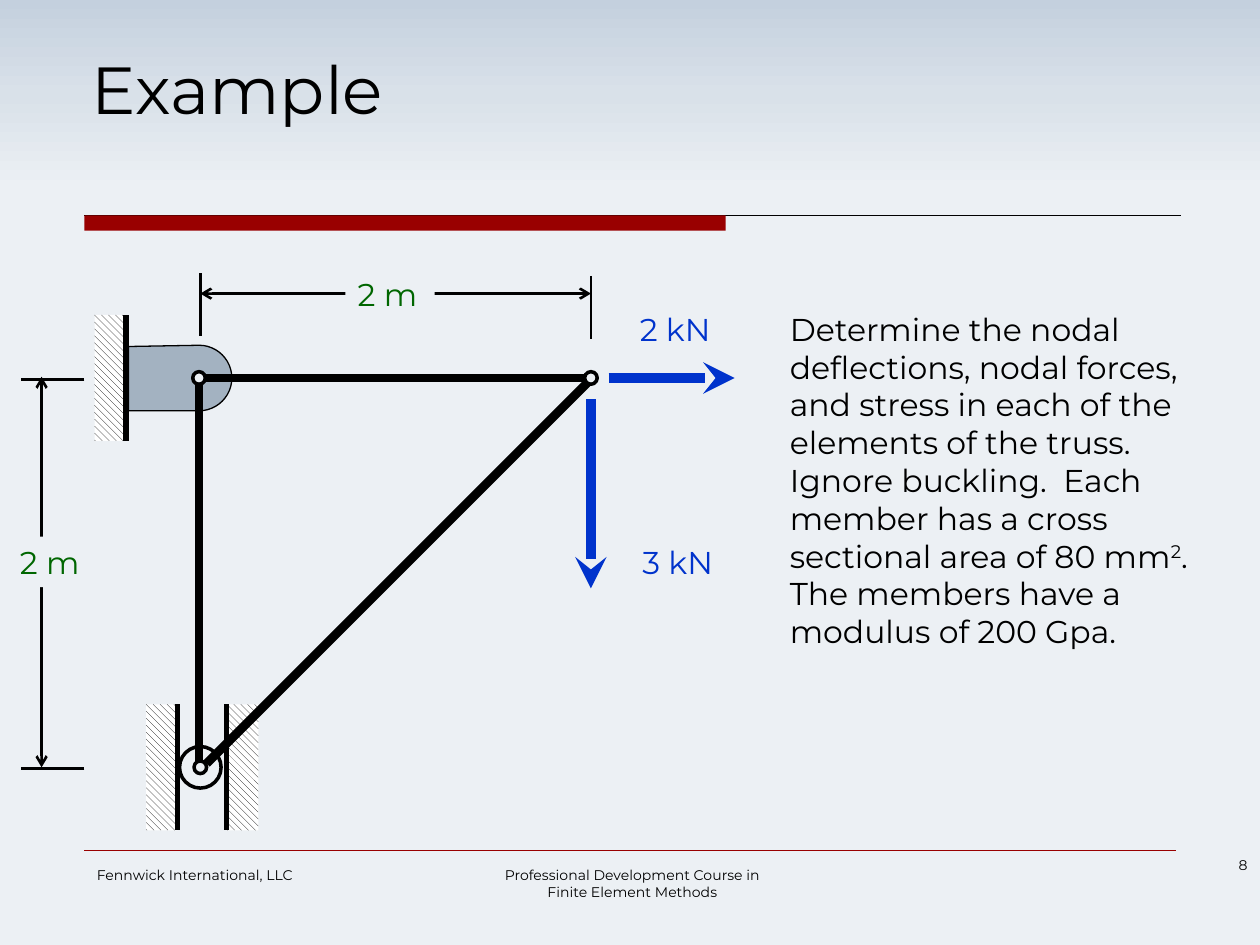
from copy import deepcopy
from math import cos, pi, sin

from lxml.etree import SubElement
from pptx import Presentation
from pptx.dml.color import RGBColor
from pptx.enum.dml import MSO_PATTERN as PATTERN
from pptx.enum.shapes import MSO_CONNECTOR as CONNECTOR, MSO_SHAPE as SHAPE
from pptx.enum.text import MSO_ANCHOR as ANCHOR, PP_ALIGN as ALIGN
from pptx.oxml.ns import qn
from pptx.util import Inches, Pt

COLORS = {
    "black": "000000",
    "white": "FFFFFF",
    "red": "990000",
    "force": "0033CC",
    "dimension": "006600",
    "lug": "A3B2C1",
    "sky_top": "C4D0DE",
    "sky_middle": "D9E1E9",
    "paper": "ECF0F4",
}
FONT = "Montserrat"


def color(name):
    return RGBColor.from_string(COLORS[name])


def write_text(paragraph, text, size=18, ink="black", align=ALIGN.LEFT, superscript=False):
    paragraph.alignment = align
    run = paragraph.add_run()
    run.text = text
    run.font.name = FONT
    run.font.size = Pt(size)
    run.font.color.rgb = color(ink)
    if superscript:
        run.font._element.set("baseline", "30000")


class TrussSlide:
    def __init__(self, presentation):
        self.slide = presentation.slides.add_slide(presentation.slide_layouts[6])
        self.shapes = self.slide.shapes

    def background(self, stops):
        fill = self.slide.background.fill
        fill.gradient()
        fill.gradient_angle = 270
        stop_list = next(self.slide.element.iter(qn("a:gsLst")))
        while len(stop_list) < len(stops):
            stop_list.append(deepcopy(stop_list[0]))
        for stop, (position, name) in zip(fill.gradient_stops, stops):
            stop.position = position
            stop.color.rgb = color(name)

    def paint(self, shape, fill, line=None, weight=1):
        shape.shadow.inherit = False
        shape.fill.solid()
        shape.fill.fore_color.rgb = color(fill)
        if line:
            shape.line.color.rgb = color(line)
            shape.line.width = Pt(weight)
        else:
            shape.line.fill.background()
        return shape

    def box(self, left, top, width, height, fill, kind=SHAPE.RECTANGLE, **style):
        shape = self.shapes.add_shape(kind, Inches(left), Inches(top), Inches(width), Inches(height))
        return self.paint(shape, fill, **style)

    def circle(self, x, y, diameter):
        radius = diameter / 2
        self.box(x - radius, y - radius, diameter, diameter, "paper",
                 kind=SHAPE.OVAL, line="black", weight=2)

    def outline(self, points, fill, **style):
        (x, y), *others = points
        builder = self.shapes.build_freeform(Inches(x), Inches(y))
        builder.add_line_segments([(Inches(x), Inches(y)) for x, y in others], close=True)
        self.paint(builder.convert_to_shape(), fill, **style)

    def line(self, x1, y1, x2, y2, ink="black", weight=1.5, head=None, tail=None):
        connector = self.shapes.add_connector(
            CONNECTOR.STRAIGHT, Inches(x1), Inches(y1), Inches(x2), Inches(y2))
        connector.line.color.rgb = color(ink)
        connector.line.width = Pt(weight)
        properties = connector.element.spPr
        for tag, arrow in (("a:headEnd", head), ("a:tailEnd", tail)):
            if arrow:
                SubElement(properties.find(qn("a:ln")), qn(tag), type=arrow)
        SubElement(properties, qn("a:effectLst"))

    def wall(self, left, top, edge):
        hatch = self.box(left, top, 0.25, 1, "white")
        hatch.fill.patterned()
        hatch.fill.pattern = PATTERN.WIDE_DOWNWARD_DIAGONAL
        hatch.fill.fore_color.rgb = color("black")
        hatch.fill.back_color.rgb = color("white")
        self.line(edge, top, edge, top + 1, weight=3)

    def text(self, left, top, width, height, *lines, wrap=True, **style):
        shape = self.shapes.add_textbox(Inches(left), Inches(top), Inches(width), Inches(height))
        frame = shape.text_frame
        frame.word_wrap = wrap
        for index, line in enumerate(lines):
            paragraph = frame.add_paragraph() if index else frame.paragraphs[0]
            write_text(paragraph, line, **style)
        return frame.paragraphs[0]

    def dimension_label(self, left, top, text):
        frame = self.box(left, top, 0.71, 0.4, "paper").text_frame
        frame.word_wrap = False
        frame.vertical_anchor = ANCHOR.TOP
        write_text(frame.paragraphs[0], text, ink="dimension")


def draw_frame(page):
    page.background([(0, "sky_top"), (0.1, "sky_middle"), (0.2, "paper")])
    page.line(0.67, 1.71, 9.37, 1.71, weight=0.75)
    page.box(0.67, 1.71, 5.09, 0.12, "red")
    page.line(0.67, 6.75, 9.33, 6.75, ink="red", weight=0.25)
    page.text(0.63, 0.33, 8.75, 1.33, "Example", size=38)
    page.text(0.67, 6.83, 2.08, 0.5, "Fennwick International, LLC", size=8)
    page.text(3.81, 6.83, 2.42, 0.37, "Professional Development Course in",
              "Finite Element Methods", size=8, align=ALIGN.CENTER)
    page.text(7.67, 6.75, 2.33, 0.4, "8", size=8, align=ALIGN.RIGHT)


def draw_truss(page):
    page.wall(0.75, 2.5, 1)
    page.wall(1.16, 5.59, 1.41)
    page.wall(1.8, 5.59, 1.8)
    page.circle(1.59, 6.09, 0.33)

    radius, steps = 0.26, 24
    angles = [pi * step / steps - pi / 2 for step in range(steps + 1)]
    arc = [(1.58 + radius * cos(angle), 3 + radius * sin(angle)) for angle in angles]
    page.outline([(1.02, 3.26), (1.02, 2.75), *arc], "lug", line="black", weight=0.75)

    for member in ((1.63, 3, 4.64, 3), (1.58, 6.05, 1.58, 3.05), (1.64, 6.06, 4.68, 3.02)):
        page.line(*member, weight=5)
    for x, y in ((1.58, 3), (1.59, 6.09), (4.69, 3)):
        page.circle(x, y, 0.1)


def draw_forces(page):
    for arrow in ((4.83, 3, 5.83, 3), (4.69, 3.17, 4.69, 4.67)):
        page.line(*arrow, ink="force", weight=6, tail="stealth")
    for left, top, force in ((4.98, 2.41, "2 kN"), (5, 4.26, "3 kN")):
        page.text(left, top, 0.83, 0.4, force, wrap=False, ink="force")


def draw_dimensions(page):
    page.line(1.59, 2.17, 1.59, 2.67)
    page.line(4.69, 2.19, 4.69, 2.69)
    for y in (3.01, 6.1):
        page.line(0.67, y, 0.17, y)
    for span in ((1.59, 2.33, 4.69, 2.33), (0.33, 2.99, 0.33, 6.09)):
        page.line(*span, head="arrow", tail="arrow")
    for left, top in ((2.74, 2.13), (0.06, 4.26)):
        page.dimension_label(left, top, "2 m")


def draw_task(page):
    paragraph = page.text(
        6.17, 2.41, 3.58, 3.13,
        "Determine the nodal deflections, nodal forces, and stress in each of the elements "
        "of the truss.  Ignore buckling.  Each member has a cross sectional area of 80 mm")
    write_text(paragraph, "2", superscript=True)
    write_text(paragraph, ".  The members have a modulus of 200 Gpa.")


def main():
    presentation = Presentation()
    presentation.slide_width = Inches(10)
    presentation.slide_height = Inches(7.5)
    page = TrussSlide(presentation)
    for draw in (draw_frame, draw_truss, draw_forces, draw_dimensions, draw_task):
        draw(page)
    presentation.save("out.pptx")


if __name__ == "__main__":
    main()
